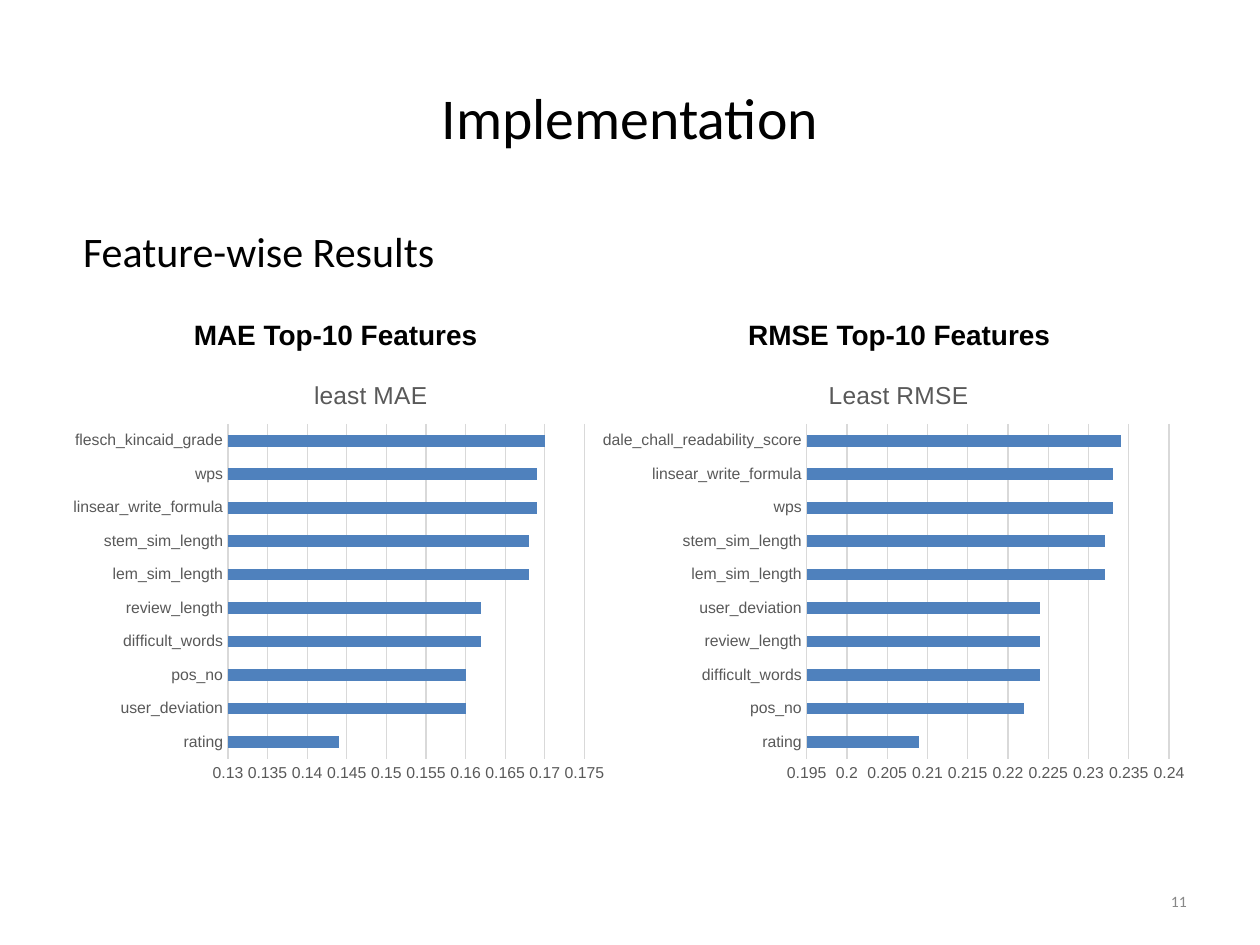
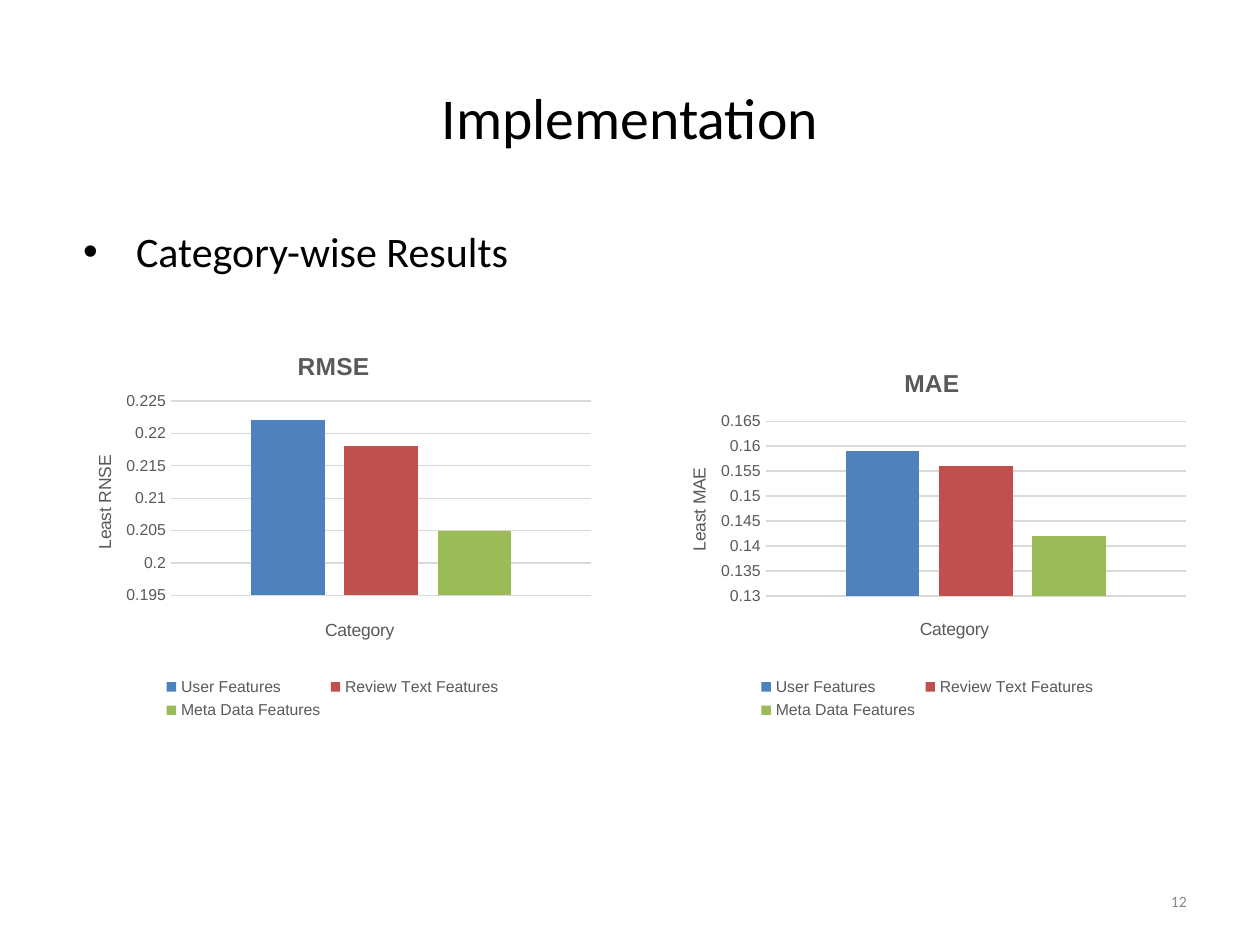
from collections import namedtuple

from lxml import etree
from pptx import Presentation
from pptx.chart.data import CategoryChartData
from pptx.dml.color import RGBColor
from pptx.enum.chart import XL_CHART_TYPE, XL_LEGEND_POSITION, XL_TICK_LABEL_POSITION, XL_TICK_MARK
from pptx.enum.text import MSO_ANCHOR, PP_ALIGN
from pptx.oxml import parse_xml
from pptx.oxml.ns import nsdecls, qn
from pptx.util import Inches, Pt

SLIDE_W, SLIDE_H = 10, 7.5
MARGIN = 0.5
CONTENT_W = SLIDE_W - 2 * MARGIN
INK, GREY, GRID, FOOTER = "000000", "595959", "D9D9D9", "888888"
BLUE, RED, GREEN = "4F81BD", "C0504D", "9BBB59"
HEAD_FONT, CHART_FONT = "Calibri", "Arial"
TIGHT = (0.08, 0.04)

Box = namedtuple("Box", "left top width height")
TITLE_BOX = Box(MARGIN, 0.3, CONTENT_W, 1.25)
BODY_BOX = Box(MARGIN, 1.75, CONTENT_W, 4.95)
NUMBER_BOX = Box(7.17, 6.95, 2.33, 0.4)


def rgb(value):
    """Turn a hex string into a colour."""
    return RGBColor.from_string(value)


def style_font(font, size, color, name=CHART_FONT, bold=False):
    """Set size, colour, typeface and weight of a font."""
    font.size, font.name, font.bold = Pt(size), name, bold
    font.color.rgb = rgb(color)


def add_text(slide, box, text, size, color=INK, font=HEAD_FONT, bold=False,
             align=PP_ALIGN.LEFT, anchor=MSO_ANCHOR.TOP, insets=TIGHT, wrap=True):
    """Add one line of text in a box and return its paragraph."""
    frame = slide.shapes.add_textbox(*map(Inches, box)).text_frame
    frame.word_wrap = wrap
    frame.vertical_anchor = anchor
    frame.margin_left = frame.margin_right = Inches(insets[0])
    frame.margin_top = frame.margin_bottom = Inches(insets[1])
    paragraph = frame.paragraphs[0]
    paragraph.alignment = align
    run = paragraph.add_run()
    run.text = text
    style_font(run.font, size, color, font, bold)
    return paragraph


def add_heading(slide, text, indent, hanging=0):
    """Place the body heading, with a bullet when it has a hanging indent."""
    paragraph = add_text(slide, BODY_BOX, text, 24)
    paragraph.space_before = Pt(5)
    props = paragraph._p.get_or_add_pPr()
    props.set("marL", str(Inches(indent)))
    props.set("indent", str(Inches(-hanging)))
    if hanging:
        font = etree.SubElement(props, qn("a:buFont"))
        font.set("typeface", "Arial")
        etree.SubElement(props, qn("a:buChar")).set("char", "\u2022")


def add_frame(prs, number):
    """Start a slide with the shared title and page number."""
    slide = prs.slides.add_slide(prs.slide_layouts[6])
    add_text(slide, TITLE_BOX, "Implementation", 33,
             align=PP_ALIGN.CENTER, anchor=MSO_ANCHOR.MIDDLE)
    add_text(slide, NUMBER_BOX, str(number), 9, FOOTER,
             align=PP_ALIGN.RIGHT, anchor=MSO_ANCHOR.MIDDLE)
    return slide


def place(element, x, y, w=None, h=None):
    """Fix a chart part at shares of the chart's size."""
    for old in element.findall(qn("c:layout")):
        element.remove(old)
    parts = [("xMode", "edge"), ("yMode", "edge"), ("x", x), ("y", y)]
    if w:
        parts = [("layoutTarget", "inner")] + parts + [("w", w), ("h", h)]
    inner = "".join(f'<c:{tag} val="{value}"/>' for tag, value in parts)
    layout = parse_xml(f'<c:layout {nsdecls("c")}><c:manualLayout>{inner}'
                       '</c:manualLayout></c:layout>')
    text = element.find(qn("c:tx"))
    element.insert(0 if text is None else element.index(text) + 1, layout)


def set_title(title, text, size, spot, bold=False, rotation=0):
    """Write a chart or axis title and put it at a spot."""
    frame = title.text_frame
    frame.text = text
    style_font(frame.paragraphs[0].runs[0].font, size, GREY, bold=bold)
    if rotation:
        body = frame._txBody.find(qn("a:bodyPr"))
        body.set("rot", str(rotation * 60000))
        body.set("vert", "horz")
    place(title._element, *spot)


def add_chart(slide, box, kind, title, title_spot, categories, series, scale, plot_area,
              gap, bold=False):
    """Add a bar or column chart with the shared look; series are (name, values, colour)."""
    data = CategoryChartData()
    data.categories = categories
    for name, values, _ in series:
        data.add_series(name, values)
    chart = slide.shapes.add_chart(kind, *map(Inches, box), data).chart
    style_font(chart.font, 10, INK)
    chart.has_legend = False
    chart.has_title = True
    set_title(chart.chart_title, title, 14, title_spot, bold)

    plot = chart.plots[0]
    plot.gap_width = gap
    plot.vary_by_categories = False
    for drawn, (_, _, color) in zip(plot.series, series):
        drawn.format.fill.solid()
        drawn.format.fill.fore_color.rgb = rgb(color)

    values = chart.value_axis
    values.minimum_scale, values.maximum_scale = scale
    values.major_unit = 0.005
    values.has_major_gridlines = True
    grid = values.major_gridlines.format.line
    grid.color.rgb, grid.width = rgb(GRID), Pt(0.75)
    values.format.line.fill.background()
    for axis in (values, chart.category_axis):
        axis.major_tick_mark = axis.minor_tick_mark = XL_TICK_MARK.NONE
        axis.tick_label_position = XL_TICK_LABEL_POSITION.NEXT_TO_AXIS
        style_font(axis.tick_labels.font, 9, GREY)
    values.tick_labels.number_format = "General"
    values.tick_labels.number_format_is_linked = False
    place(chart._chartSpace.chart.plotArea, *plot_area)
    return chart


def add_feature_panel(slide, box, label, label_box, title, title_x, ranking, scale, plot_x, plot_w):
    """Draw a labelled bar ranking of features, lowest error at the foot."""
    chart = add_chart(slide, box, XL_CHART_TYPE.BAR_CLUSTERED, title, (title_x, 0.04),
                      list(ranking), [(title, list(ranking.values()), BLUE)],
                      scale, (plot_x, 0.153, plot_w, 0.775), 182)
    line = chart.category_axis.format.line
    line.color.rgb, line.width = rgb(GRID), Pt(0.75)
    add_text(slide, label_box, label, 16, font=CHART_FONT, bold=True,
             insets=(0.1, 0.05), wrap=False)


def add_category_panel(slide, box, title, title_x, axis_title, errors, scale, plot_y, plot_h):
    """Draw a column for each feature category, with axis titles and a legend."""
    names = ("User Features", "Review Text Features", "Meta Data Features")
    series = [(name, [error], color)
              for name, error, color in zip(names, errors, (BLUE, RED, GREEN))]
    chart = add_chart(slide, box, XL_CHART_TYPE.COLUMN_CLUSTERED, title, (title_x, 0.04),
                      ["1"], series, scale, (0.2, plot_y, 0.78, plot_h), 219, bold=True)
    chart.plots[0].overlap = -27
    chart.category_axis.visible = False
    set_title(chart.category_axis.axis_title, "Category", 10, (0.48, plot_y + plot_h + 0.05))
    set_title(chart.value_axis.axis_title, axis_title, 10, (0.05, 0.31), rotation=-90)
    chart.has_legend = True
    chart.legend.position = XL_LEGEND_POSITION.BOTTOM
    chart.legend.include_in_layout = False
    style_font(chart.legend.font, 9, GREY)


def feature_slide(prs, number):
    """Build the slide of results by single feature."""
    slide = add_frame(prs, number)
    add_heading(slide, "Feature-wise Results", 0.08)
    top, height, label_top, label_h = 2.84, 3.43, 2.47, 0.37
    mae = {"rating": 0.144, "user_deviation": 0.16, "pos_no": 0.16,
           "difficult_words": 0.162, "review_length": 0.162, "lem_sim_length": 0.168,
           "stem_sim_length": 0.168, "linsear_write_formula": 0.169, "wps": 0.169,
           "flesch_kincaid_grade": 0.17}
    rmse = {"rating": 0.209, "pos_no": 0.222, "difficult_words": 0.224,
            "review_length": 0.224, "user_deviation": 0.224, "lem_sim_length": 0.232,
            "stem_sim_length": 0.232, "wps": 0.233, "linsear_write_formula": 0.233,
            "dale_chall_readability_score": 0.234}
    add_feature_panel(slide, Box(MARGIN, top, 4.38, height), "MAE Top-10 Features",
                      Box(1.44, label_top, 2.49, label_h), "least MAE", 0.447,
                      mae, (0.13, 0.175), 0.299, 0.646)
    add_feature_panel(slide, Box(4.69, top, 4.81, height), "RMSE Top-10 Features",
                      Box(5.84, label_top, 2.64, label_h), "Least RMSE", 0.385,
                      rmse, (0.195, 0.24), 0.356, 0.598)


def category_slide(prs, number):
    """Build the slide of results by feature category."""
    slide = add_frame(prs, number)
    add_heading(slide, "Category-wise Results", 0.5, hanging=0.42)
    width, bottom = 4.28, 5.75
    right = SLIDE_W - MARGIN - width
    add_category_panel(slide, Box(MARGIN, 2.62, width, bottom - 2.62), "RMSE", 0.427,
                       "Least RNSE", (0.222, 0.218, 0.205), (0.195, 0.225), 0.18, 0.493)
    add_category_panel(slide, Box(right, 2.76, width, bottom - 2.76), "MAE", 0.449,
                       "Least MAE", (0.159, 0.156, 0.142), (0.13, 0.165), 0.195, 0.464)


def main():
    """Build and save the deck."""
    prs = Presentation()
    prs.slide_width, prs.slide_height = Inches(SLIDE_W), Inches(SLIDE_H)
    feature_slide(prs, 11)
    category_slide(prs, 12)
    prs.save("out.pptx")


main()
